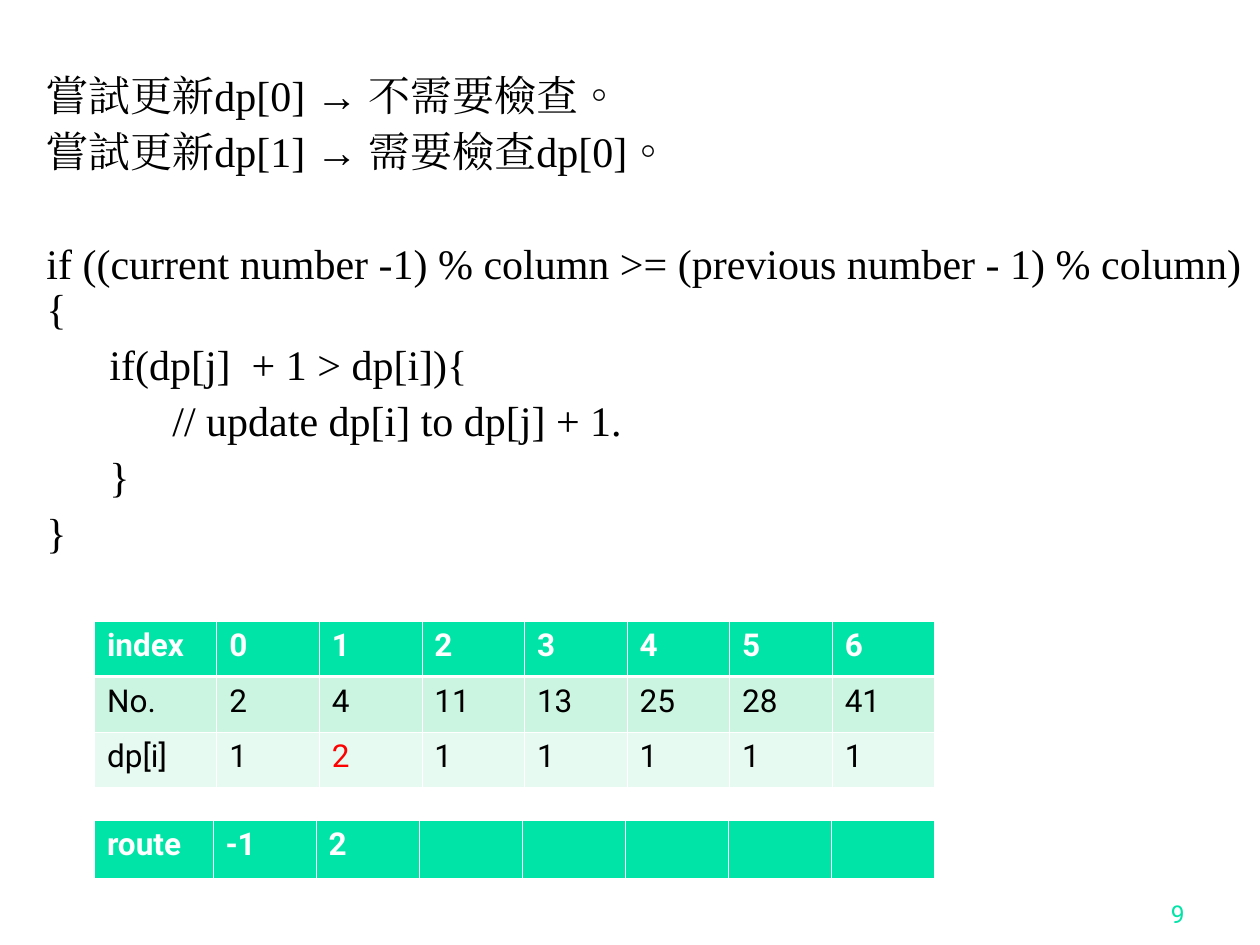
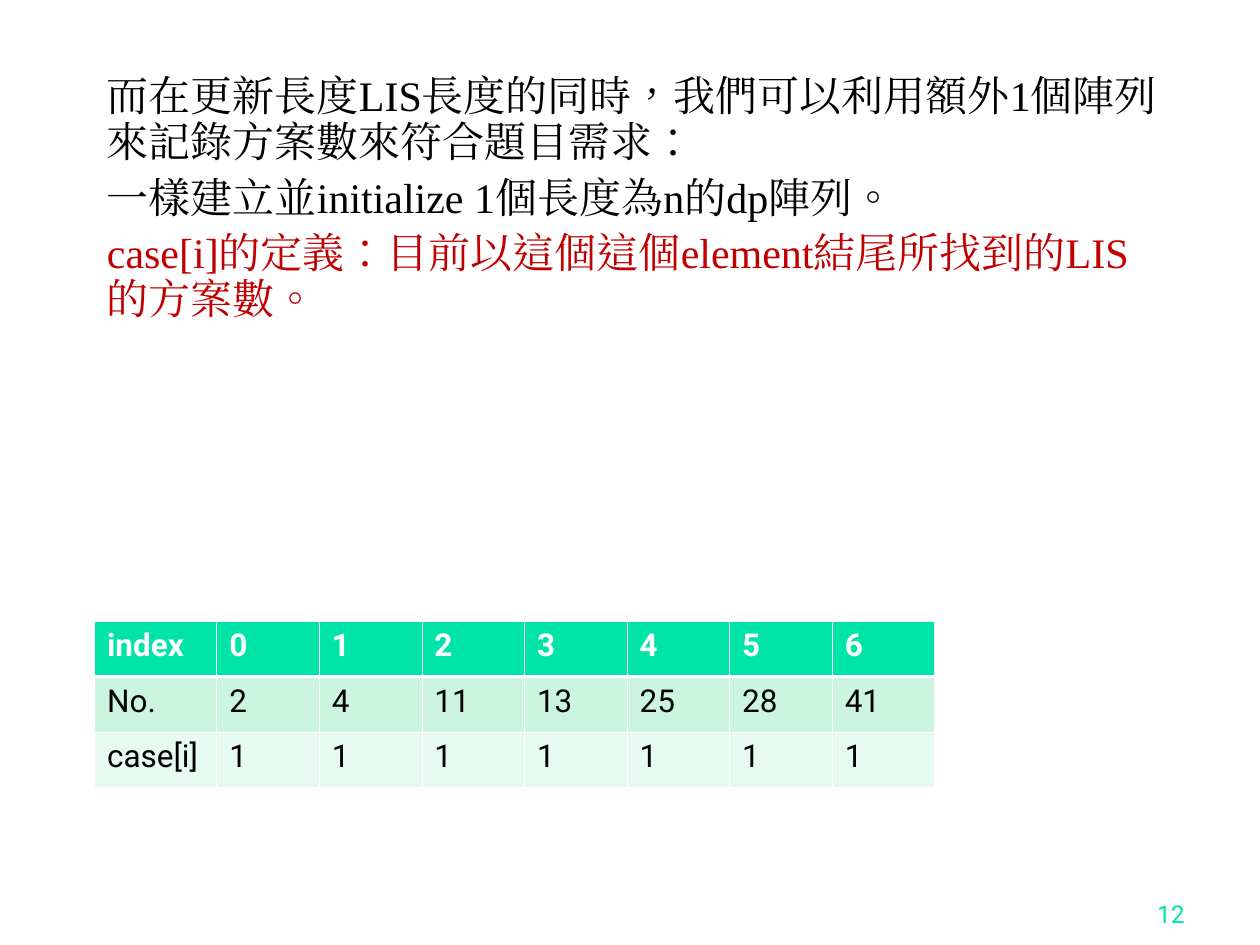
from dataclasses import dataclass

from lxml import etree
from pptx import Presentation
from pptx import util as u
from pptx.dml.color import RGBColor
from pptx.enum import lang, text
from pptx.oxml.ns import qn


# Theme shared by both slides
@dataclass(frozen=True)
class Theme:
    accent: str = "00E4A8"
    band_dark: str = "CBF5E1"
    band_light: str = "E7FAF1"
    white: str = "FFFFFF"
    black: str = "000000"
    changed: str = "FF0000"
    definition: str = "C00000"
    body_font: str = "Times New Roman"
    label_font: str = "Roboto"
    body_size: int = 24
    table_size: int = 18
    number_size: int = 14
    thin: float = 0.45
    thick: float = 1.47


THEME = Theme()
PARAGRAPH_GAP = 6
BLANK_LINE_GAP = 38
TABLE_LEFT, TABLE_WIDTH = 0.75, 6.67


def write(paragraph, words, *, font, size, color, bold=False, align=None):
    """Add words to a paragraph in the given format."""
    run = paragraph.add_run()
    run.text = words
    run.font.name, run.font.size, run.font.bold = font, u.Pt(size), bold
    run.font.color.rgb = RGBColor.from_string(color)
    run.font.language_id = lang.MSO_LANGUAGE_ID.TRADITIONAL_CHINESE
    etree.SubElement(run.font._element, qn("a:ea"), typeface=font)
    if align is not None:
        paragraph.alignment = align


def set_border(cell, side, width, color):
    line = etree.SubElement(cell._tc.get_or_add_tcPr(), qn(f"a:ln{side}"), w=str(u.Pt(width)))
    fill = etree.SubElement(line, qn("a:solidFill"))
    etree.SubElement(fill, qn("a:srgbClr"), val=color)


class Deck:
    def __init__(self, theme):
        self.theme = theme
        self.prs = Presentation()
        self.prs.slide_width, self.prs.slide_height = u.Inches(10), u.Inches(7.5)
        self.slide = None

    def new_slide(self, number):
        self.slide = self.prs.slides.add_slide(self.prs.slide_layouts[6])
        frame = self.text_frame(7.42, 6.92, 2.08, 0.5)
        frame.vertical_anchor = text.MSO_ANCHOR.BOTTOM
        write(frame.paragraphs[0], str(number), font=self.theme.label_font,
              size=self.theme.number_size, color=self.theme.accent,
              align=text.PP_ALIGN.RIGHT)

    def text_frame(self, *box):
        frame = self.slide.shapes.add_textbox(*map(u.Inches, box)).text_frame
        frame.word_wrap = True
        return frame

    def body(self, box, lines, colors=None, gaps=None):
        """Body lines; colors and gaps hold exceptions by line index."""
        colors, gaps = colors or {}, gaps or {}
        frame = self.text_frame(*box)
        for i, line in enumerate(lines):
            paragraph = frame.add_paragraph() if i else frame.paragraphs[0]
            paragraph.line_spacing = 0.9
            paragraph.space_before = u.Pt(gaps.get(i, PARAGRAPH_GAP) if i else 0)
            write(paragraph, line, font=self.theme.body_font, size=self.theme.body_size,
                  color=colors.get(i, self.theme.black))

    def table(self, top, rows, label_width, row_height, changed=()):
        """Banded table; changed lists the (row, column) cells to highlight."""
        t = self.theme
        table = self.slide.shapes.add_table(
            len(rows), len(rows[0]), u.Inches(TABLE_LEFT), u.Inches(top),
            u.Inches(TABLE_WIDTH), u.Inches(row_height * len(rows))).table
        value_width = (TABLE_WIDTH - label_width) / (len(rows[0]) - 1)
        for c, column in enumerate(table.columns):
            column.width = u.Inches(value_width if c else label_width)
        fills = (t.accent, t.band_dark, t.band_light)
        for r, row in enumerate(rows):
            for c, value in enumerate(row):
                cell = table.cell(r, c)
                widths = {"L": t.thin, "R": t.thin,
                          "T": t.thick if r == 1 else t.thin,
                          "B": t.thick if r == 0 else t.thin}
                for side, width in widths.items():
                    set_border(cell, side, width, t.white)
                cell.fill.solid()
                cell.fill.fore_color.rgb = RGBColor.from_string(fills[r])
                if value == "":
                    continue
                color = t.white if r == 0 else t.changed if (r, c) in changed else t.black
                write(cell.text_frame.paragraphs[0], str(value), font=t.label_font,
                      size=t.table_size, color=color, bold=r == 0)

    def index_table(self, label, values, changed=()):
        rows = [["index", *range(7)], ["No.", 2, 4, 11, 13, 25, 28, 41], [label, *values]]
        self.table(4.93, rows, 0.97, 0.44, changed)


def main():
    deck = Deck(THEME)

    # Updating dp[1]
    deck.new_slide(9)
    deck.body((0.27, 0.55, 9.69, 3.99), [
        "嘗試更新dp[0] → 不需要檢查。",
        "嘗試更新dp[1] → 需要檢查dp[0]。",
        "if ((current number -1) % column >= (previous number - 1) % column){",
        "\tif(dp[j]  + 1 > dp[i]){",
        "\t\t// update dp[i] to dp[j] + 1.",
        "\t}",
        "}",
    ], gaps={2: BLANK_LINE_GAP})
    deck.index_table("dp[i]", [1, 2, 1, 1, 1, 1, 1], changed={(2, 2)})
    deck.table(6.51, [["route", -1, 2] + [""] * 5], 0.94, 0.47)

    # Counting the solutions
    deck.new_slide(12)
    deck.body((0.75, 0.55, 8.58, 3.91), [
        "而在更新長度LIS長度的同時，我們可以利用額外1個陣列來記錄方案數來符合題目需求：",
        "一樣建立並initialize 1個長度為n的dp陣列。",
        "case[i]的定義：目前以這個這個element結尾所找到的LIS的方案數。",
    ], colors={2: THEME.definition})
    deck.index_table("case[i]", [1] * 7)

    deck.prs.save("out.pptx")


if __name__ == "__main__":
    main()
